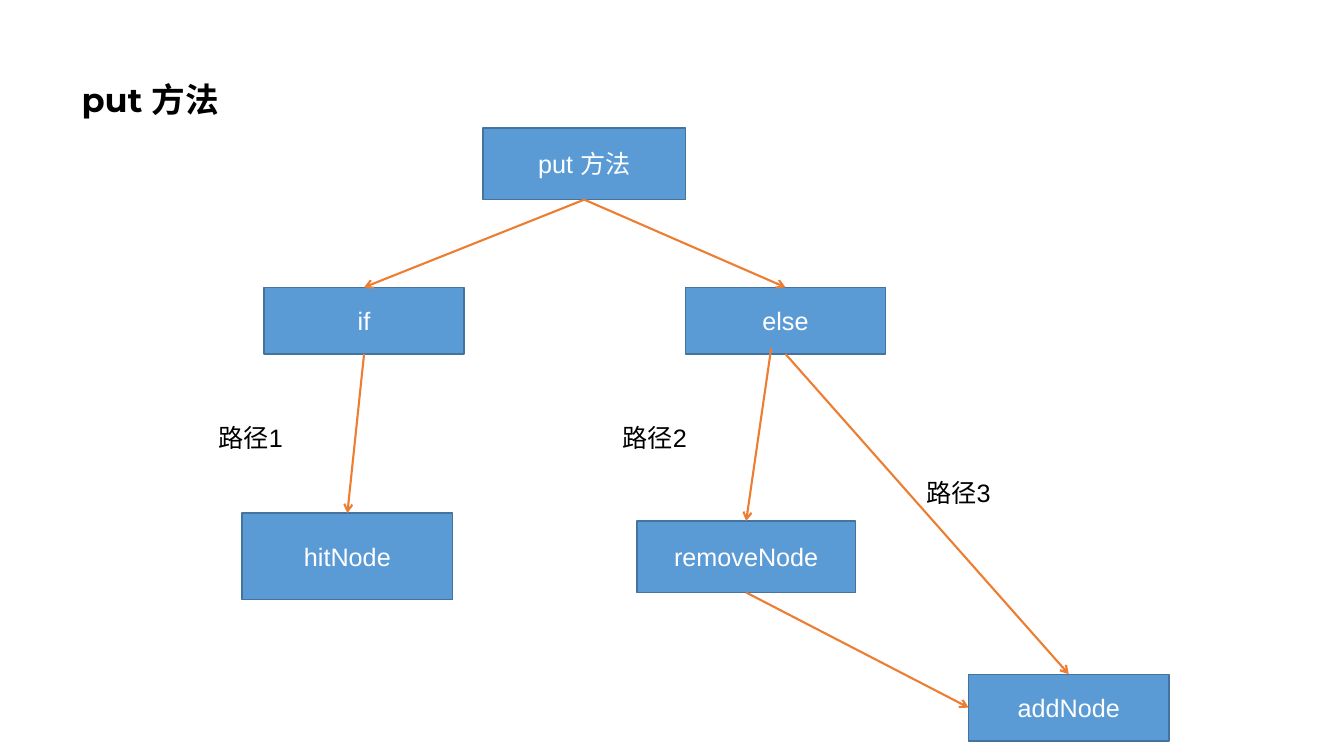
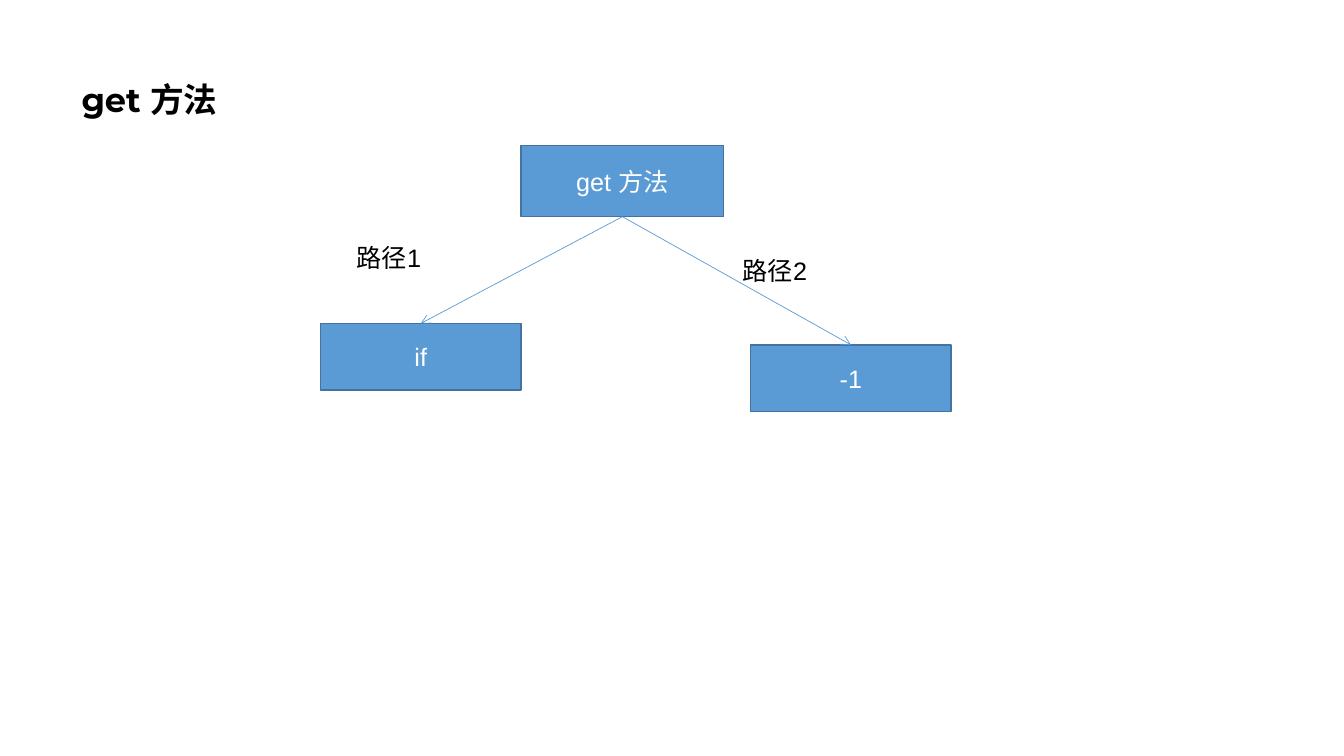
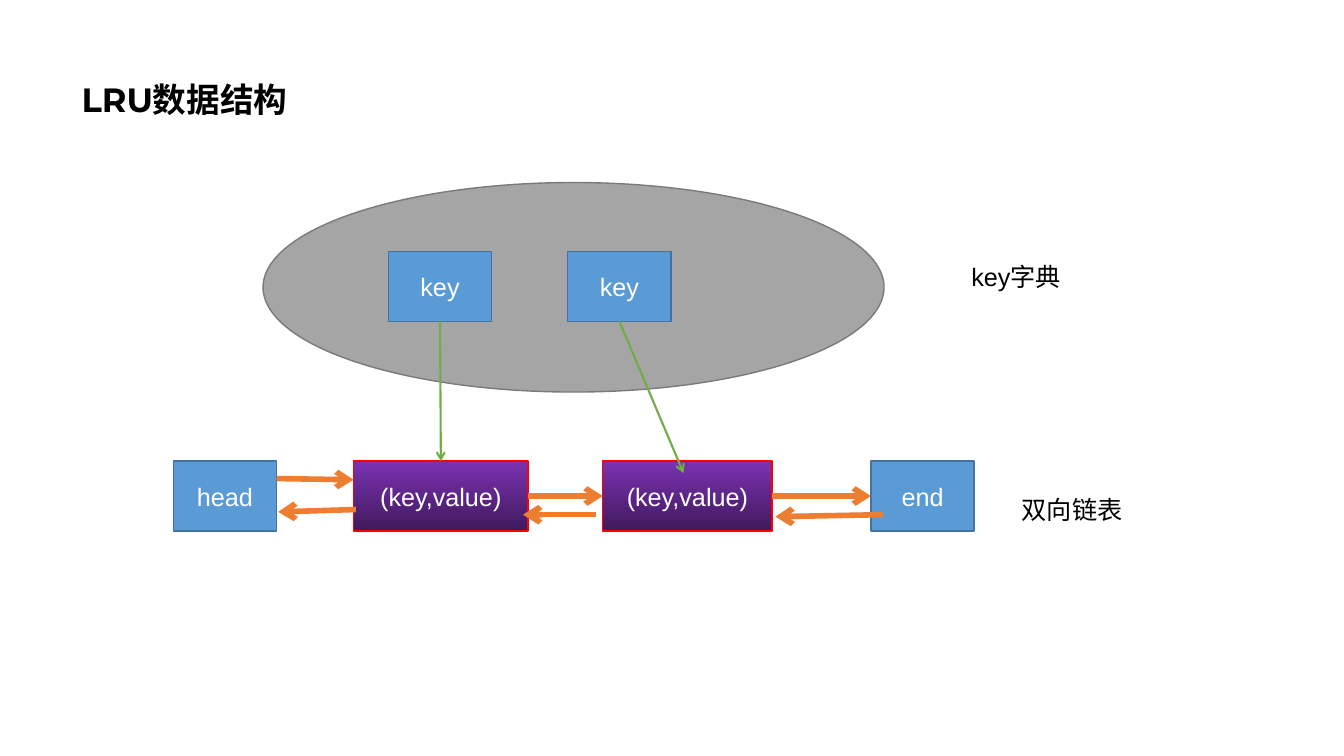
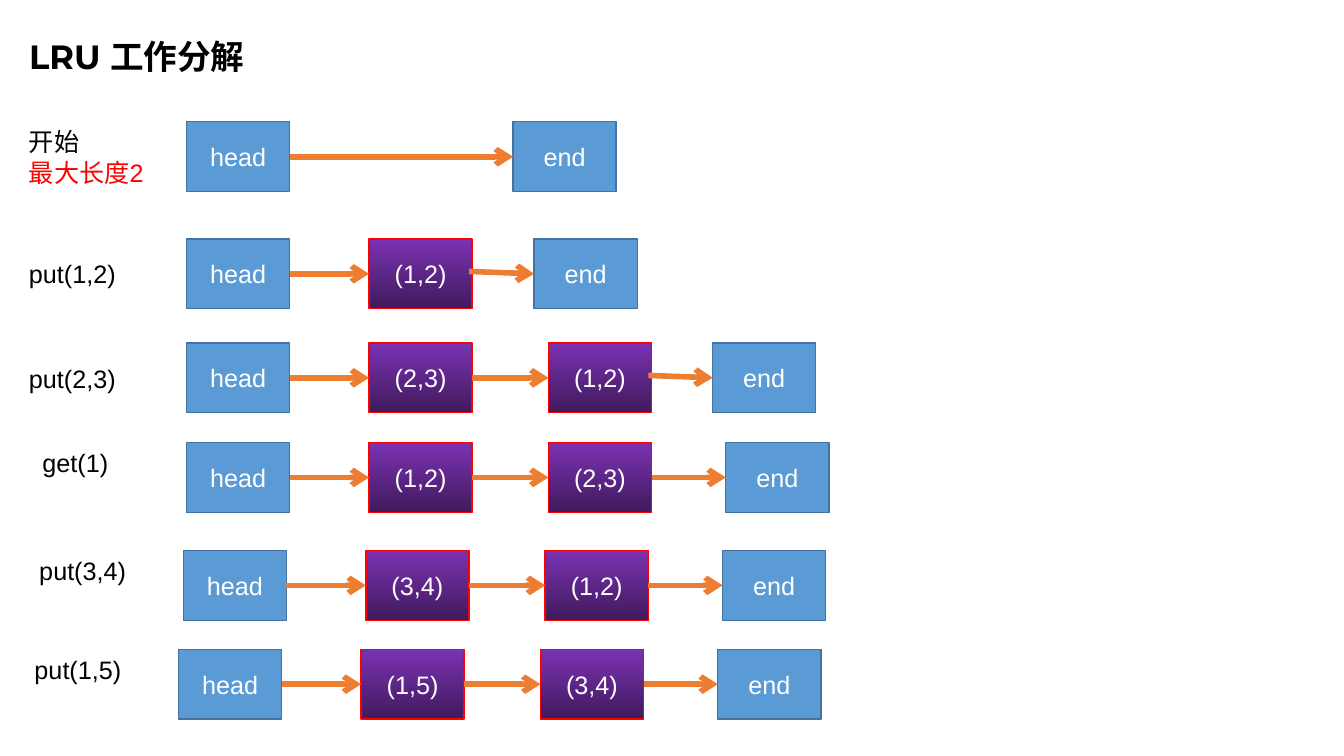
from collections import namedtuple

from lxml.etree import SubElement
from pptx import Presentation
from pptx.dml.color import RGBColor
from pptx.enum.shapes import MSO_CONNECTOR, MSO_SHAPE
from pptx.enum.text import MSO_ANCHOR, MSO_AUTO_SIZE, PP_ALIGN
from pptx.oxml.ns import qn
from pptx.util import Cm, Pt

COLOURS = {
    "black": "000000", "white": "FFFFFF", "red": "FF0000",
    "blue": "5B9BD5", "blue edge": "43739E",
    "grey": "A5A5A5", "grey edge": "7A7A7A",
    "purple": "7B32B2", "dark purple": "401A5D",
    "orange": "ED7D31", "green": "70AD47",
}
TITLE_FONT = {"name": "Montserrat", "size": Pt(24), "bold": True}
BODY_FONT = {"name": "Arial", "size": Pt(18)}
TITLE_FRAME = {"word_wrap": True, "auto_size": MSO_AUTO_SIZE.NONE,
               "vertical_anchor": MSO_ANCHOR.MIDDLE}
NODE_FRAME = {"word_wrap": True, "vertical_anchor": MSO_ANCHOR.MIDDLE}
LABEL_FRAME = {"word_wrap": True, "auto_size": MSO_AUTO_SIZE.SHAPE_TO_FIT_TEXT}

# Fill (two colours make a vertical gradient) and edge of each kind of node
NODE_STYLES = {
    "plain": (["blue"], "blue edge"),
    "entry": (["purple", "dark purple"], "red"),
    "dictionary": (["grey"], "grey edge"),
}
# Colour and width of each kind of arrow
ARROW_STYLES = {
    "call": ("orange", 1.5),
    "thin": ("blue", 0.5),
    "link": ("orange", 4),
    "lookup": ("green", 1.5),
}

# Connection sites of a rectangle
TOP, LEFT, BOTTOM, RIGHT = range(4)
SITE_FRACTIONS = {TOP: (0.5, 0), LEFT: (0, 0.5), BOTTOM: (0.5, 1), RIGHT: (1, 0.5)}
CENTRED = (0, 0)

Box = namedtuple("Box", "left top width height")
Step = namedtuple("Step", "left top labels label_shift entries end_shift tail_shift")

TITLE_BOX = Box(1.8, 0.71, 29.21, 3.68)
HIGH_TITLE_BOX = Box(0.48, 0.38, 29.21, 2.21)
ROOT_SIZE = (5.11, 1.8)
NODE_SIZE = (5.05, 1.68)
CELL_SIZE = (2.6, 1.76)
PATH_LABEL_SIZE = (2.97, 1.02)
SIDE_LABEL_SIZE = (7.09, 1.02)


def colour(name):
    """Return the named colour."""
    return RGBColor.from_string(COLOURS[name])


def apply(target, values):
    """Set every attribute in values on the target."""
    for name, value in values.items():
        setattr(target, name, value)


def place(box, left, top, width, height):
    """Return a box whose corner is measured from another box."""
    return Box(box.left + left, box.top + top, width, height)


def lengths(box):
    """Return the sides of a box as lengths."""
    return [Cm(side) for side in box]


def write(paragraph, text, font, colour_name, alignment=PP_ALIGN.LEFT):
    """Write one formatted run into a paragraph."""
    paragraph.alignment = alignment
    run = paragraph.add_run()
    run.text = text
    apply(run.font, font)
    run.font.color.rgb = colour(colour_name)


def add_titled_slide(presentation, text, box=TITLE_BOX):
    """Add a title-only slide with its title in the box."""
    slide = presentation.slides.add_slide(presentation.slide_layouts[5])
    title = slide.shapes.title
    apply(title, dict(zip(("left", "top", "width", "height"), lengths(box))))
    apply(title.text_frame, TITLE_FRAME)
    paragraph = title.text_frame.paragraphs[0]
    paragraph.line_spacing = 0.9
    write(paragraph, text, TITLE_FONT, "black")
    return slide


def add_node(slide, box, text="", style="plain", preset=MSO_SHAPE.RECTANGLE):
    """Add a filled node with centred white text."""
    fills, edge = NODE_STYLES[style]
    shape = slide.shapes.add_shape(preset, *lengths(box))
    shape.shadow.inherit = False
    if len(fills) > 1:
        shape.fill.gradient()
        shape.fill.gradient_angle = 270
        for stop, name in zip(shape.fill.gradient_stops, fills):
            stop.color.rgb = colour(name)
    else:
        shape.fill.solid()
        shape.fill.fore_color.rgb = colour(fills[0])
    shape.line.color.rgb = colour(edge)
    shape.line.width = Pt(1)
    if text:
        apply(shape.text_frame, NODE_FRAME)
        write(shape.text_frame.paragraphs[0], text, BODY_FONT, "white", PP_ALIGN.CENTER)
    return shape


def add_label(slide, box, lines):
    """Add a text box with one (text, colour) pair on each line."""
    frame = slide.shapes.add_textbox(*lengths(box)).text_frame
    apply(frame, LABEL_FRAME)
    for index, (text, colour_name) in enumerate(lines):
        paragraph = frame.add_paragraph() if index else frame.paragraphs[0]
        write(paragraph, text, BODY_FONT, colour_name)


def site_point(shape, site, shift):
    """Return the point at a connection site, moved by a shift in cm."""
    across, down = SITE_FRACTIONS[site]
    return (int(shape.left + shape.width * across + Cm(shift[0])),
            int(shape.top + shape.height * down + Cm(shift[1])))


def connect(slide, source, source_site, target, target_site, style,
            source_shift=CENTRED, target_shift=CENTRED):
    """Draw an arrow between two nodes, glued at every unshifted end."""
    start = site_point(source, source_site, source_shift)
    end = site_point(target, target_site, target_shift)
    connector = slide.shapes.add_connector(MSO_CONNECTOR.STRAIGHT, *start, *end)
    if source_shift == CENTRED:
        connector.begin_connect(source, source_site)
    if target_shift == CENTRED:
        connector.end_connect(target, target_site)
    colour_name, width = ARROW_STYLES[style]
    connector.line.color.rgb = colour(colour_name)
    connector.line.width = Pt(width)
    SubElement(connector.line._get_or_add_ln(), qn("a:tailEnd"), type="arrow")
    SubElement(connector._element.spPr, qn("a:effectLst"))


def add_call_tree(slide, box, nodes, edges, labels, style):
    """Draw a tree of calls: nodes by name, arrows, and path labels."""
    shapes = {name: add_node(slide, place(box, *corner, *size), name)
              for name, corner, size in nodes}
    for source, target, target_site, shift in edges:
        connect(slide, shapes[source], BOTTOM, shapes[target], target_site, style, shift)
    for number, corner in enumerate(labels, 1):
        add_label(slide, place(box, *corner, *PATH_LABEL_SIZE),
                  [(f"路径{number}", "black")])


def add_key_dictionary(slide, box):
    """Draw the dictionary ellipse and return its key nodes."""
    add_node(slide, box, style="dictionary", preset=MSO_SHAPE.OVAL)
    keys = [add_node(slide, place(box, left, 1.74, *CELL_SIZE), "key")
            for left in (3.16, 7.68)]
    add_label(slide, place(box, 17.6, 1.86, *SIDE_LABEL_SIZE), [("key字典", "black")])
    return keys


def add_linked_list(slide, box):
    """Draw the doubly linked list and return its nodes."""
    cells = [("head", 0, 2.6, "plain"), ("(key,value)", 4.54, 4.4, "entry"),
             ("(key,value)", 10.82, 4.27, "entry"), ("end", 17.58, 2.6, "plain")]
    nodes = [add_node(slide, place(box, left, 0, width, box.height), text, style)
             for text, left, width, style in cells]
    forward = [((0, -0.44), (0, -0.41)), (CENTRED, CENTRED), (CENTRED, CENTRED)]
    backward = [((0.06, 0.34), (0.04, 0.4)), ((-0.18, 0.47), (-0.13, 0.47)),
                ((0.3, 0.47), (0.08, 0.52))]
    for previous, following, onward, back in zip(nodes, nodes[1:], forward, backward):
        connect(slide, previous, RIGHT, following, LEFT, "link", *onward)
        connect(slide, following, LEFT, previous, RIGHT, "link", *back)
    add_label(slide, place(box, 21.13, 0.72, *SIDE_LABEL_SIZE), [("双向链表", "black")])
    return nodes


def add_step(slide, step):
    """Draw one cache operation: its label and the resulting list."""
    box = Box(step.left, step.top, *CELL_SIZE)
    add_label(slide, place(box, *step.label_shift, 3.76, 1.02 * len(step.labels)),
              step.labels)
    nodes = [add_node(slide, box, "head")]
    for index, text in enumerate(step.entries):
        nodes.append(add_node(slide, place(box, 4.6 + 4.52 * index, 0, *CELL_SIZE),
                              text, "entry"))
    nodes.append(add_node(slide, place(box, step.end_shift, 0, *CELL_SIZE), "end"))
    pairs = list(zip(nodes, nodes[1:]))
    for index, (previous, following) in enumerate(pairs, 1):
        shift = step.tail_shift if index == len(pairs) else CENTRED
        connect(slide, previous, RIGHT, following, LEFT, "link", shift)


def build_put_slide(presentation):
    """Build the slide with the paths of the put method."""
    slide = add_titled_slide(presentation, "put 方法")
    nodes = [("put 方法", (6.91, 0), ROOT_SIZE), ("if", (1.39, 4.01), NODE_SIZE),
             ("else", (12.01, 4.01), NODE_SIZE), ("hitNode", (0.84, 9.7), (5.31, 2.18)),
             ("addNode", (19.15, 13.76), NODE_SIZE),
             ("removeNode", (10.79, 9.9), (5.51, 1.8))]
    edges = [("put 方法", "if", TOP, CENTRED), ("put 方法", "else", TOP, CENTRED),
             ("if", "hitNode", TOP, CENTRED), ("else", "addNode", TOP, CENTRED),
             ("else", "removeNode", TOP, (-0.36, -0.15)),
             ("removeNode", "addNode", LEFT, CENTRED)]
    labels = [(0, 7.29), (10.18, 7.29), (17.83, 8.68)]
    add_call_tree(slide, Box(5.26, 3.23, 24.2, 15.44), nodes, edges, labels, "call")


def build_get_slide(presentation):
    """Build the slide with the paths of the get method."""
    slide = add_titled_slide(presentation, "get 方法")
    nodes = [("get 方法", (5.05, 0), ROOT_SIZE), ("if", (0, 4.49), NODE_SIZE),
             ("-1", (10.84, 5.03), NODE_SIZE)]
    edges = [("get 方法", name, TOP, CENTRED) for name in ("if", "-1")]
    labels = [(0.66, 2.33), (10.39, 2.64)]
    add_call_tree(slide, Box(8.08, 3.66, 15.89, 6.71), nodes, edges, labels, "thin")


def build_structure_slide(presentation):
    """Build the slide with the dictionary above the linked list."""
    slide = add_titled_slide(presentation, "LRU数据结构")
    keys = add_key_dictionary(slide, Box(6.63, 4.6, 15.65, 5.28))
    nodes = add_linked_list(slide, Box(4.37, 11.62, 20.18, 1.76))
    for key, node, shift in zip(keys, nodes[1:3], (CENTRED, (-0.1, 0.3))):
        connect(slide, key, BOTTOM, node, TOP, "lookup", target_shift=shift)


def build_steps_slide(presentation):
    """Build the slide that follows the list through each operation."""
    slide = add_titled_slide(presentation, "LRU 工作分解", HIGH_TITLE_BOX)
    start = [("开始", "black"), ("最大长度2", "red")]
    early, late = (-0.08, -0.06), CENTRED
    steps = [
        Step(4.7, 3.07, start, (-4.22, 0), [], 8.23, CENTRED),
        Step(4.7, 6.02, [("put(1,2)", "black")], (-4.22, 0.36), ["(1,2)"], 8.76, early),
        Step(4.7, 8.64, [("put(2,3)", "black")], (-4.22, 0.38),
             ["(2,3)", "(1,2)"], 13.26, early),
    ]
    later = [(4.7, 11.15, "get(1)", ["(1,2)", "(2,3)"]),
             (4.62, 13.87, "put(3,4)", ["(3,4)", "(1,2)"]),
             (4.5, 16.36, "put(1,5)", ["(1,5)", "(3,4)"])]
    steps += [Step(left, top, [(text, "black")], (-3.88, 0), entries, 13.59, late)
              for left, top, text, entries in later]
    for step in steps:
        add_step(slide, step)


def main():
    """Build and save the presentation."""
    presentation = Presentation()
    presentation.slide_width, presentation.slide_height = Cm(33.87), Cm(19.05)
    for build in (build_put_slide, build_get_slide, build_structure_slide,
                  build_steps_slide):
        build(presentation)
    presentation.save("out.pptx")


main()
